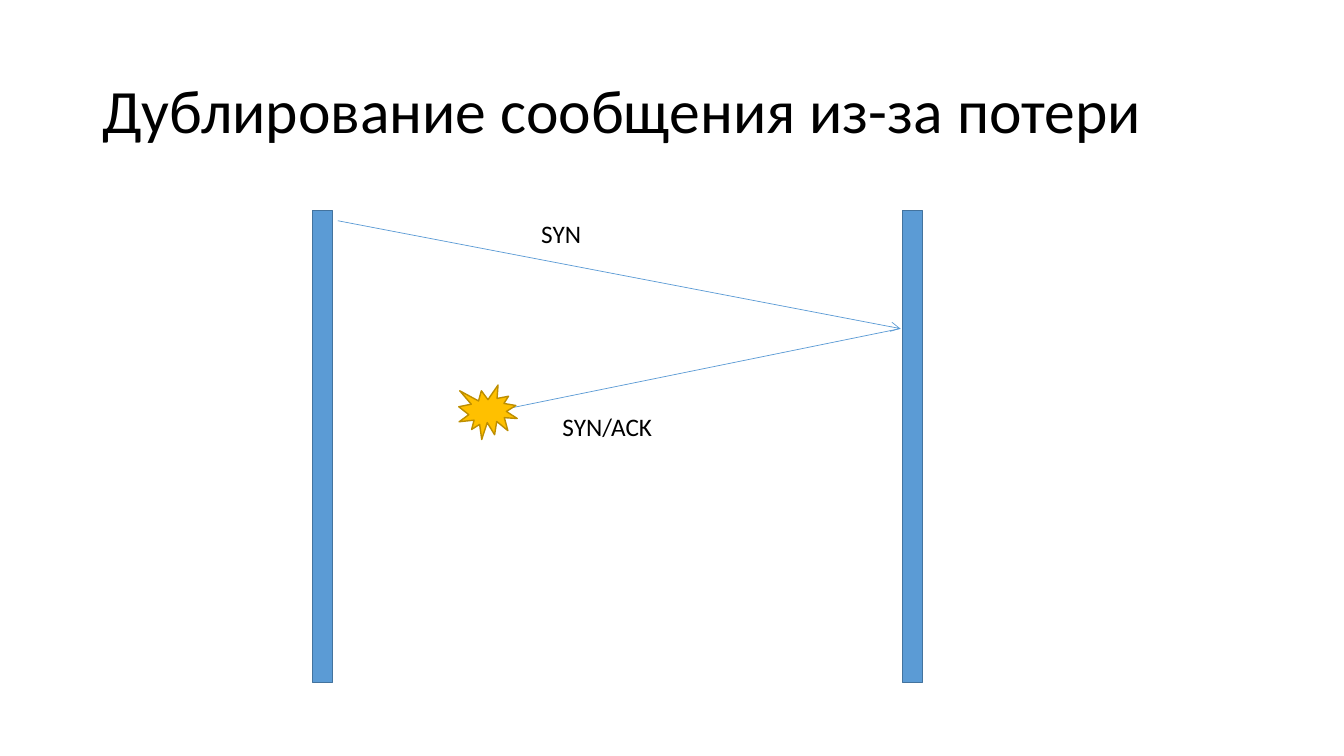
from pptx import Presentation
from pptx.dml.color import RGBColor
from pptx.enum.shapes import MSO_CONNECTOR, MSO_SHAPE
from pptx.enum.text import MSO_ANCHOR, MSO_AUTO_SIZE
from pptx.oxml.ns import qn
from pptx.util import Inches, Pt
from lxml import etree

BLUE = RGBColor(0x5B, 0x9B, 0xD5)
DARK_BLUE = RGBColor(0x43, 0x73, 0x9E)
GOLD = RGBColor(0xFF, 0xC0, 0x00)
DARK_GOLD = RGBColor(0xBD, 0x8E, 0x00)
BLACK = RGBColor(0x00, 0x00, 0x00)

STRAIGHT = MSO_CONNECTOR.STRAIGHT
RECTANGLE = MSO_SHAPE.RECTANGLE
BURST = MSO_SHAPE.EXPLOSION1
TOP, MIDDLE = MSO_ANCHOR.TOP, MSO_ANCHOR.MIDDLE
FIT_SHAPE = MSO_AUTO_SIZE.SHAPE_TO_FIT_TEXT
NO_FIT = MSO_AUTO_SIZE.NONE

BLANK_LAYOUT = 6
CELL = 0.1  # side of a square grid cell, in inches


def cells(*counts):
    return [Inches(count * CELL) for count in counts]


class SequenceSlide:
    """Holds the style and the current slide; lengths are grid cells."""

    font = "Calibri"
    title_size, label_size = 44, 18
    outline_width, arrow_width = 1, 0.5

    def __init__(self, deck):
        self.slide = deck.slides.add_slide(deck.slide_layouts[BLANK_LAYOUT])

    def text(self, area, words, size, anchor=TOP, fit=FIT_SHAPE):
        box = self.slide.shapes.add_textbox(*cells(*area))
        frame = box.text_frame
        frame.word_wrap = True
        frame.auto_size = fit
        frame.vertical_anchor = anchor
        para = frame.paragraphs[0]
        span = para.add_run()
        span.text = words
        span.font.name = self.font
        span.font.size = Pt(size)
        span.font.color.rgb = BLACK
        return para

    def title(self, area, words):
        para = self.text(area, words, self.title_size, MIDDLE, NO_FIT)
        para.line_spacing = 0.9

    def label(self, area, words):
        self.text(area, words, self.label_size)

    def shape(self, kind, area, fill, outline):
        shape = self.slide.shapes.add_shape(kind, *cells(*area))
        shape.shadow.inherit = False
        shape.fill.solid()
        shape.fill.fore_color.rgb = fill
        shape.line.color.rgb = outline
        shape.line.width = Pt(self.outline_width)

    def arrow(self, start, end):
        arrow = self.slide.shapes.add_connector(STRAIGHT, *cells(*start, *end))
        arrow.line.color.rgb = BLUE
        arrow.line.width = Pt(self.arrow_width)
        line = arrow.line._get_or_add_ln()
        etree.SubElement(line, qn("a:tailEnd"), type="arrow")
        etree.SubElement(arrow._element.spPr, qn("a:effectLst"))


def main():
    deck = Presentation()
    deck.slide_width, deck.slide_height = Inches(13.33), Inches(7.5)
    page = SequenceSlide(deck)

    page.title((9.2, 4, 115, 14.5), "Дублирование сообщения из-за потери")

    # Lifelines of the two hosts
    for left in (31, 89.5):
        page.shape(RECTANGLE, (left, 20.9, 2, 46.8), BLUE, DARK_BLUE)

    # Request, and the reply that gets lost
    sender, receiver, loss = (33.5, 21.9), (89.3, 32.6), (47.6, 41.1)
    page.arrow(sender, receiver)
    page.arrow(receiver, loss)

    # Message names
    page.label((52.7, 21.2, 6.4, 4), "SYN")
    page.label((54.8, 40.3, 23.8, 4), "SYN/ACK")

    # Point of loss, over the end of the reply
    page.shape(BURST, (45.5, 38.2, 5.8, 5.4), GOLD, DARK_GOLD)

    deck.save("out.pptx")


if __name__ == "__main__":
    main()
